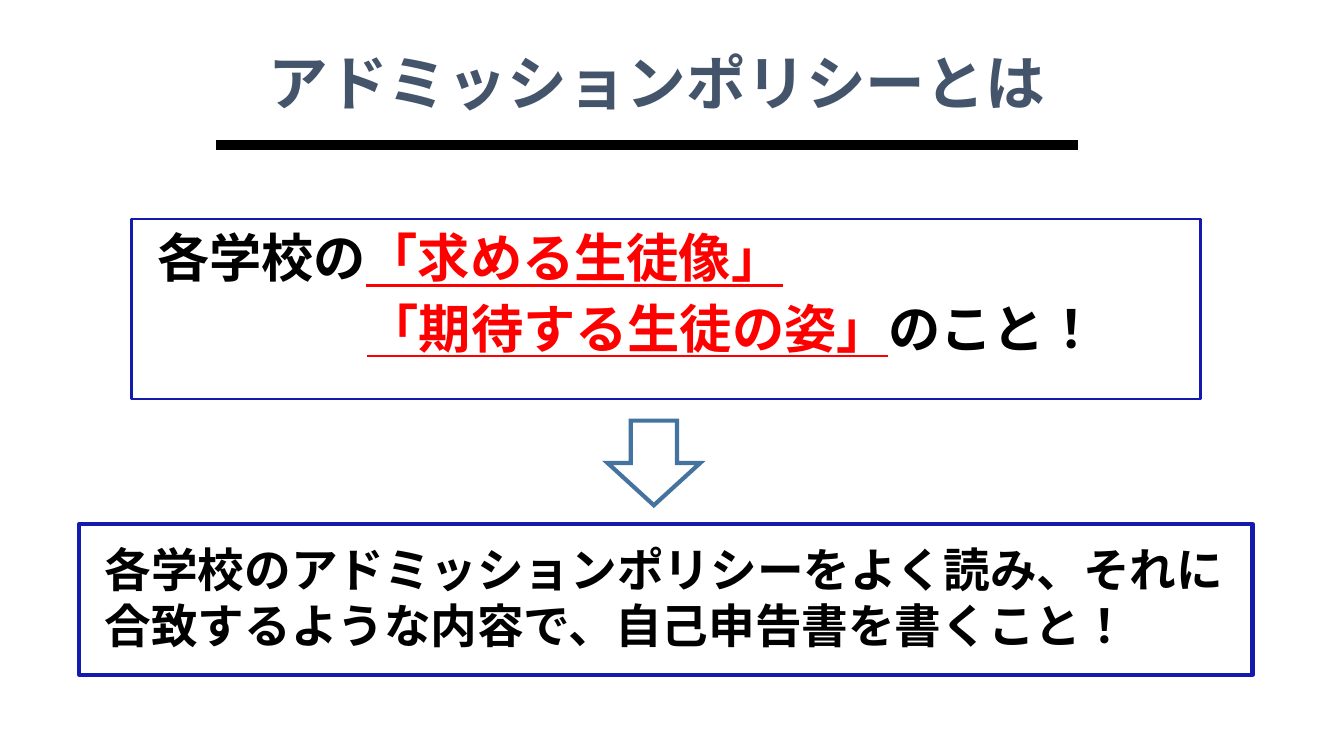
"""Build the slide that explains what an admission policy is."""
from lxml import etree
from pptx import Presentation
from pptx import util as u
from pptx.dml.color import RGBColor
from pptx.enum import lang, shapes, text
from pptx.oxml.ns import qn

FONT = "Noto Sans CJK JP"
BLACK, RED, NAVY = "000000", "FF0000", "131AAD"


def color(value):
    return RGBColor.from_string(value)


def style(span, size, value, underline=False):
    font = span.font
    font.size, font.bold, font.underline = u.Pt(size), True, underline
    font.color.rgb = color(value)
    font.name = FONT
    font.language_id = lang.MSO_LANGUAGE_ID.JAPANESE
    latin = font._element.find(qn("a:latin"))
    latin.addnext(etree.Element(qn("a:ea"), typeface=FONT))


deck = Presentation()
deck.slide_width = u.Inches(10)
deck.slide_height = deck.slide_width * 9 // 16
page = deck.slides.add_slide(deck.slide_layouts[5])

title = page.shapes.title
title.left, title.top = u.Inches(1.71), u.Inches(0.29)
title.width, title.height = u.Inches(6.36), u.Inches(0.82)
title.text_frame.text = "アドミッションポリシーとは"
title.text_frame.vertical_anchor = text.MSO_ANCHOR.TOP
title.text_frame.paragraphs[0].alignment = text.PP_ALIGN.CENTER
style(title.text_frame.paragraphs[0].runs[0], 32, "44546A")

rule = page.shapes.add_connector(
    shapes.MSO_CONNECTOR.STRAIGHT,
    u.Inches(1.61), u.Inches(1.08), u.Inches(8.02), u.Inches(1.08))
rule.line.color.rgb = color(BLACK)
rule.line.width = u.Pt(5)
etree.SubElement(rule._element.spPr, qn("a:effectLst"))

definition = [
    (0.09, [("各学校の", BLACK), ("「求める生徒像」", RED)]),
    (1.65, [("「期待する生徒の姿」", RED), ("のこと！", BLACK)]),
]
advice = [(0.09, [("各学校のアドミッションポリシーをよく読み、それに"
                   "合致するような内容で、自己申告書を書くこと！", BLACK)])]
boxes = [
    ((0.98, 1.63, 7.95, 1.34), 1.5, 28, text.MSO_ANCHOR.TOP, 0.05, definition),
    ((0.59, 3.9, 8.73, 1.12), 2.25, 25, text.MSO_ANCHOR.MIDDLE, 0, advice),
]
for place, weight, size, anchor, inset, lines in boxes:
    box = page.shapes.add_shape(
        shapes.MSO_SHAPE.RECTANGLE, *[u.Inches(length) for length in place])
    box.shadow.inherit = False
    box.fill.background()
    box.line.color.rgb = color(NAVY)
    box.line.width = u.Pt(weight)
    frame = box.text_frame
    frame.word_wrap = True
    frame.vertical_anchor = anchor
    frame.margin_top, frame.margin_bottom = u.Inches(inset), u.Inches(0.04)
    for index, (indent, pieces) in enumerate(lines):
        para = frame.add_paragraph() if index else frame.paragraphs[0]
        para.alignment = text.PP_ALIGN.LEFT
        para.space_before = u.Pt(4 if index else 0)
        para._p.get_or_add_pPr().set("marL", str(u.Inches(indent)))
        for words, value in pieces:
            span = para.add_run()
            span.text = words
            style(span, size, value, underline=value == RED)

arrow = page.shapes.add_shape(
    shapes.MSO_SHAPE.DOWN_ARROW,
    u.Inches(4.52), u.Inches(3.13), u.Inches(0.69), u.Inches(0.63))
arrow.shadow.inherit = False
arrow.fill.solid()
arrow.fill.fore_color.rgb = color("FFFFFF")
arrow.line.color.rgb = color("43739E")
arrow.line.width = u.Pt(2.25)
etree.SubElement(arrow.line._get_or_add_ln(), qn("a:miter"), lim="800000")

deck.save("out.pptx")
